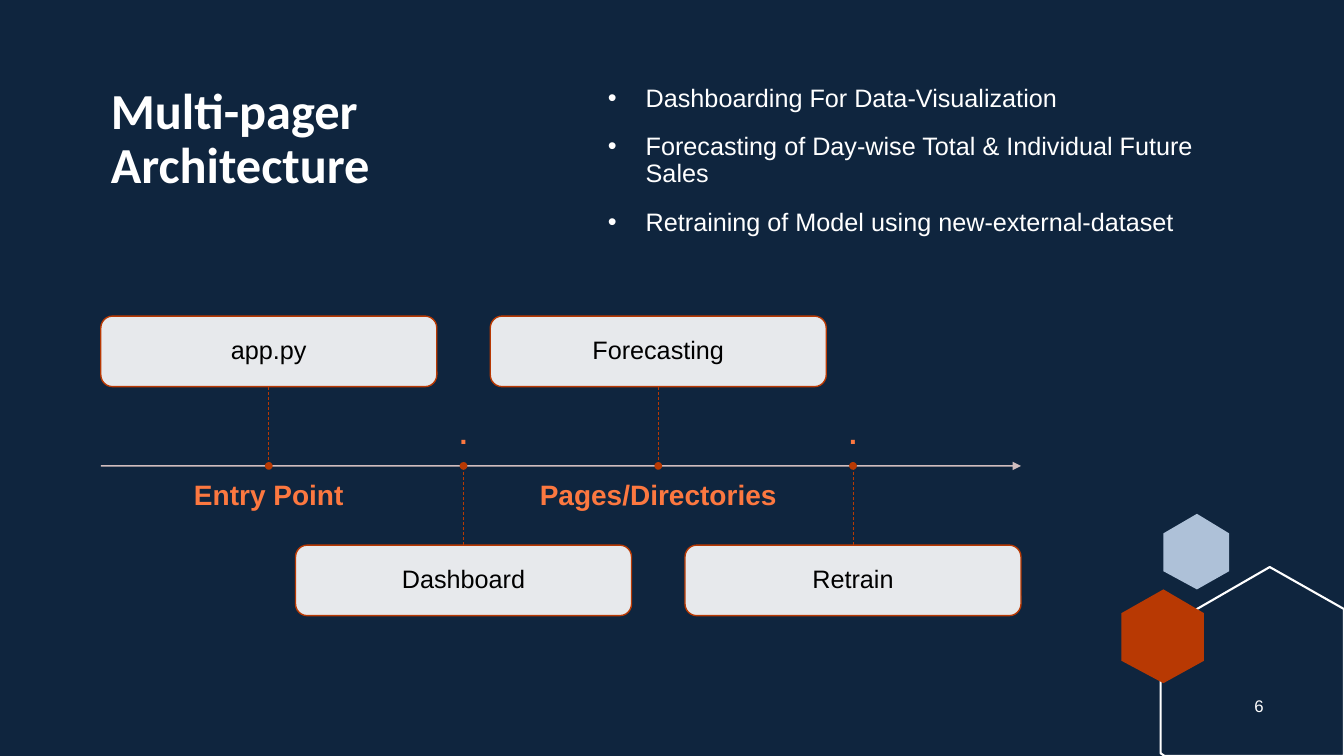
from dataclasses import dataclass
from typing import Any

from lxml import etree
from pptx import Presentation
from pptx.dml.color import RGBColor
from pptx.enum.dml import MSO_LINE
from pptx.enum.shapes import MSO_CONNECTOR, MSO_SHAPE
from pptx.enum.text import MSO_ANCHOR, MSO_AUTO_SIZE, PP_ALIGN
from pptx.oxml.ns import qn
from pptx.util import Pt

STRAIGHT = MSO_CONNECTOR.STRAIGHT
ROUNDED, OVAL = MSO_SHAPE.ROUNDED_RECTANGLE, MSO_SHAPE.OVAL
TOP, MIDDLE, BOTTOM = MSO_ANCHOR.TOP, MSO_ANCHOR.MIDDLE, MSO_ANCHOR.BOTTOM
LEFT, CENTER = PP_ALIGN.LEFT, PP_ALIGN.CENTER
DASH = MSO_LINE.DASH
NO_AUTOFIT = MSO_AUTO_SIZE.NONE
SIDE_TOP, SIDE_BOTTOM = 0, 2


def color(hex_string):
    return RGBColor.from_string(hex_string)


def set_alpha(parent, percent):
    for element in parent.iter(qn("a:srgbClr")):
        etree.SubElement(element, qn("a:alpha")).set("val", str(percent * 1000))


@dataclass
class SlideBuilder:
    slide: Any
    white: str = "FFFFFF"
    black: str = "000000"
    navy: str = "0F253E"
    rust: str = "B83903"
    orange: str = "FC7840"
    pale_blue: str = "AEC1D8"
    pale_rose: str = "E6CECC"
    body_font: str = "Arial"
    title_font: str = "Calibri"

    def background(self):
        fill = self.slide.background.fill
        fill.solid()
        fill.fore_color.rgb = color(self.navy)

    def place(self, shape, left, top, width, height):
        shape.left, shape.top = Pt(left), Pt(top)
        shape.width, shape.height = Pt(width), Pt(height)

    def fill_text(self, shape, texts, size, hex_color, bold=False, align=CENTER,
                  anchor=MIDDLE, font=None, inset=None, spacing=0.9, before=0):
        frame = shape.text_frame
        frame.word_wrap = True
        frame.auto_size = NO_AUTOFIT
        frame.vertical_anchor = anchor
        if inset is not None:
            frame.margin_left = frame.margin_right = Pt(inset)
            frame.margin_top = frame.margin_bottom = Pt(inset)
        for index, text in enumerate(texts):
            paragraph = frame.add_paragraph() if index else frame.paragraphs[0]
            paragraph.alignment = align
            paragraph.line_spacing = spacing
            paragraph.space_before = Pt(before)
            run = paragraph.add_run()
            run.text = text
            run.font.name = font or self.body_font
            run.font.size = Pt(size)
            run.font.bold = bold
            run.font.color.rgb = color(hex_color)

    def title(self, text, *box):
        shape = self.slide.shapes.title
        self.place(shape, *box)
        self.fill_text(shape, [text], 36, self.white, True, LEFT, TOP, self.title_font)

    def bullets(self, texts, *box):
        shape = self.slide.placeholders[1]
        self.place(shape, *box)
        self.fill_text(shape, texts, 18, self.white, align=LEFT, anchor=TOP, before=15)

    def textbox(self, text, box, size, hex_color, **options):
        shape = self.slide.shapes.add_textbox(*map(Pt, box))
        self.fill_text(shape, [text], size, hex_color, **options)

    def paint(self, shape, fill=None, line=None, weight=1):
        shape.shadow.inherit = False
        if fill:
            shape.fill.solid()
            shape.fill.fore_color.rgb = color(fill)
        else:
            shape.fill.background()
        if line:
            shape.line.color.rgb = color(line)
            shape.line.width = Pt(weight)
        else:
            shape.line.fill.background()

    def polygon(self, points, **paint):
        builder = self.slide.shapes.build_freeform(*points[0], scale=Pt(1))
        builder.add_line_segments(points[1:], close=True)
        self.paint(builder.convert_to_shape(), **paint)

    def hexagon(self, left, top, width, height, fill):
        middle, right = left + width / 2, left + width
        upper, lower = top + height / 4, top + height * 3 / 4
        self.polygon([(middle, top), (right, upper), (right, lower),
                      (middle, top + height), (left, lower), (left, upper)], fill=fill)

    def card(self, text, *box):
        shape = self.slide.shapes.add_shape(ROUNDED, *map(Pt, box))
        self.paint(shape, self.white, self.rust)
        set_alpha(shape._element.spPr.find(qn("a:solidFill")), 90)
        self.fill_text(shape, [text], 18, self.black, inset=12)
        return shape

    def dot(self, x, y, diameter):
        radius = diameter / 2
        shape = self.slide.shapes.add_shape(
            OVAL, Pt(x - radius), Pt(y - radius), Pt(diameter), Pt(diameter))
        self.paint(shape, self.rust, self.rust)

    def connector(self, start, end, hex_color, weight):
        line = self.slide.shapes.add_connector(STRAIGHT, *map(Pt, start + end))
        line.line.color.rgb = color(hex_color)
        line.line.width = Pt(weight)
        etree.SubElement(line._element.spPr, qn("a:effectLst"))
        return line

    def axis(self, start, end):
        line = self.connector(start, end, self.pale_rose, 1)
        outline = line._element.spPr.find(qn("a:ln"))
        set_alpha(outline, 90)
        etree.SubElement(outline, qn("a:tailEnd")).set("type", "triangle")

    def stem(self, card, side, start, end):
        line = self.connector(start, end, self.rust, 0.5)
        line.line.dash_style = DASH
        line.begin_connect(card, side)


def main():
    presentation = Presentation()
    presentation.slide_width, presentation.slide_height = Pt(960), Pt(540)
    slide = presentation.slides.add_slide(presentation.slide_layouts[1])
    builder = SlideBuilder(slide)

    builder.background()
    builder.hexagon(830.9, 367.2, 47.5, 54, builder.pale_blue)
    builder.polygon([(907.2, 405.4), (960, 434.9), (960, 540), (832.3, 540),
                     (828.7, 537.8), (828.7, 450)], line=builder.white, weight=1.5)
    builder.hexagon(801.4, 421.2, 59, 67.2, builder.rust)

    builder.title("Multi-pager Architecture", 72, 57.6, 367.2, 136.8)
    builder.bullets(["Dashboarding For Data-Visualization",
                     "Forecasting of Day-wise Total & Individual Future Sales",
                     "Retraining of Model using new-external-dataset"],
                    427, 57.6, 465.8, 136.8)

    axis_y, first_x, step = 332.8, 192, 139.1
    card_width, card_height, card_offset = 240, 50.4, 56.6
    label_width, label_height, label_gap = 211, 33.8, 11.2
    builder.axis((72, axis_y), (729.3, axis_y))
    stages = [("app.py", "Entry Point"), ("Dashboard", "."),
              ("Forecasting", "Pages/Directories"), ("Retrain", ".")]
    for index, (name, label) in enumerate(stages):
        x = first_x + index * step
        if index % 2 == 0:
            side, edge_y = SIDE_BOTTOM, axis_y - card_offset
            card_top = edge_y - card_height
            label_top, anchor = axis_y + label_gap, TOP
        else:
            side, edge_y = SIDE_TOP, axis_y + card_offset
            card_top = edge_y
            label_top, anchor = axis_y - label_gap - label_height, BOTTOM
        card = builder.card(name, x - card_width / 2, card_top, card_width, card_height)
        builder.stem(card, side, (x, edge_y), (x, axis_y))
        builder.dot(x, axis_y, 4.5)
        builder.textbox(label, (x - label_width / 2, label_top, label_width, label_height),
                        20, builder.orange, bold=True, anchor=anchor, inset=0)

    builder.textbox("6", (881.3, 489.6, 36, 28.8), 12, builder.white, spacing=1)
    presentation.save("out.pptx")


if __name__ == "__main__":
    main()
